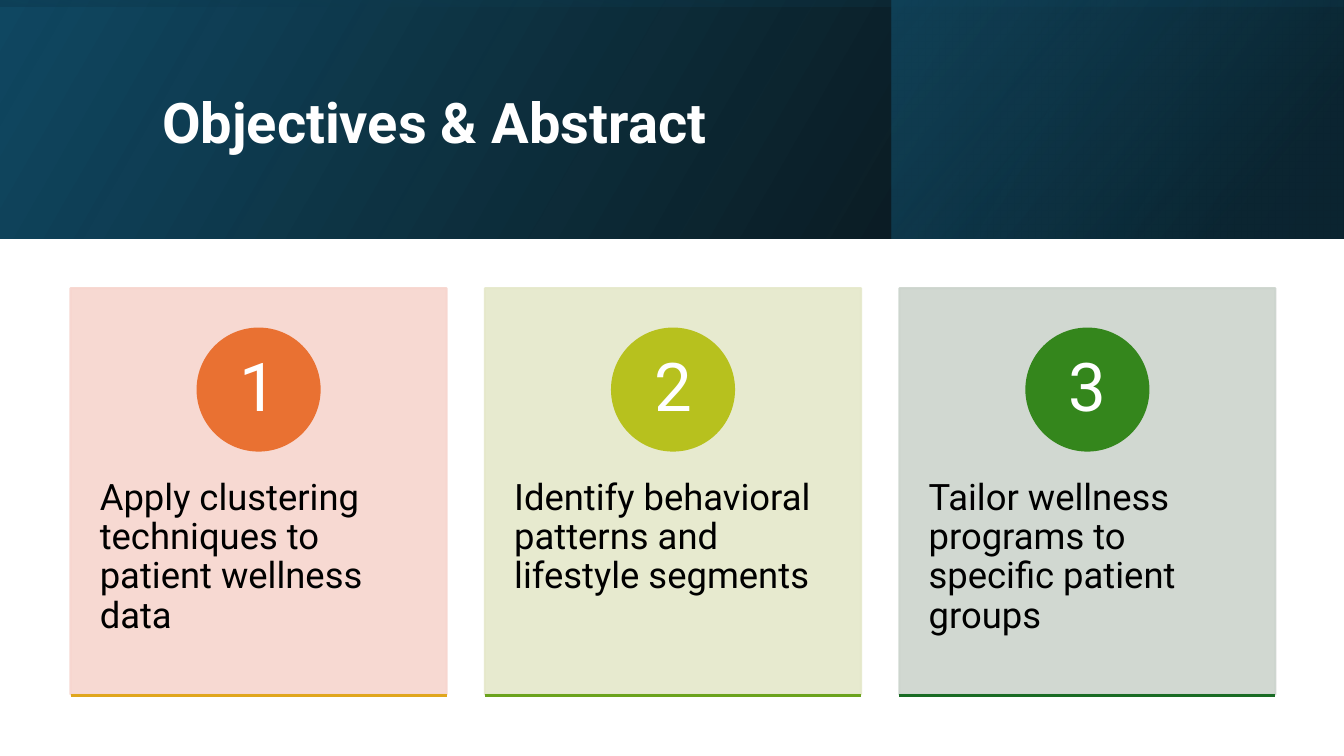
from lxml.etree import SubElement
from pptx import Presentation
from pptx.dml.color import RGBColor
from pptx.enum.shapes import MSO_CONNECTOR, MSO_SHAPE
from pptx.enum.text import MSO_ANCHOR, PP_ALIGN
from pptx.oxml.ns import qn
from pptx.util import Inches, Pt

THEME = {
    "font": "Roboto",
    "title_size": 40, "number_size": 48, "body_size": 26, "line_width": 1.5,
    "light": "FFFFFF", "dark": "000000", "navy": "104862",
    "teal": "0B3041", "sea": "156082",
    "cards": ["F7D5CE", "E5E8CA", "CCD4CD"],
    "circles": ["E97132", "B7C11E", "34861C"],
    "rules": ["E0A61D", "6BA31D", "196B24"],
}


def write_text(shape, text, size, color, bold=False, align=PP_ALIGN.LEFT,
               anchor=MSO_ANCHOR.TOP, inset_x=0.1, inset_y=0.05):
    frame = shape.text_frame
    frame.word_wrap = True
    frame.vertical_anchor = anchor
    frame.margin_left = frame.margin_right = Inches(inset_x)
    frame.margin_top = frame.margin_bottom = Inches(inset_y)
    paragraph = frame.paragraphs[0]
    paragraph.alignment = align
    paragraph.line_spacing = 0.9
    run = paragraph.add_run()
    run.text = text
    run.font.name = THEME["font"]
    run.font.size = Pt(size)
    run.font.bold = bold
    run.font.color.rgb = RGBColor.from_string(color)


def set_opacity(shape, percents):
    colors = shape._element.spPr.iter(qn("a:srgbClr"))
    for color, percent in zip(list(colors), percents):
        SubElement(color, qn("a:alpha")).set("val", str(percent * 1000))


presentation = Presentation()
presentation.slide_width = Inches(13.33)
presentation.slide_height = Inches(7.5)
slide = presentation.slides.add_slide(presentation.slide_layouts[6])
shapes = slide.shapes

# Header: three layered gradients; the last one is a tall box turned on its side
WIDTH, HEADER = 13.33, 2.37
turned_left = (WIDTH - HEADER) / 2
bands = [
    # left, top, width, height, rotation, angle, (position, color, opacity) stops
    (0, 0, WIDTH, HEADER, 0, 30,
     [(0, THEME["dark"], 96), (1, THEME["navy"], 100)]),
    (8.84, 0, 4.48, HEADER, 0, 40,
     [(0.19, THEME["teal"], 68), (1, THEME["sea"], 48)]),
    (turned_left, -turned_left, HEADER, WIDTH, 270, 10,
     [(0.23, THEME["navy"], 16), (0.99, THEME["dark"], 45)]),
]
for left, top, width, height, rotation, angle, stops in bands:
    band = shapes.add_shape(MSO_SHAPE.RECTANGLE, Inches(left), Inches(top),
                            Inches(width), Inches(height))
    band.shadow.inherit = False
    band.rotation = rotation
    band._element.spPr.xfrm.set("flipH", "1")
    band.line.fill.background()
    band.fill.gradient()
    band.fill.gradient_angle = angle
    for gradient_stop, (position, color, _) in zip(band.fill.gradient_stops, stops):
        gradient_stop.position = position
        gradient_stop.color.rgb = RGBColor.from_string(color)
    set_opacity(band, [opacity for _, _, opacity in stops])

# Title
title = shapes.add_textbox(Inches(1.51), Inches(0.38), Inches(10.63), Inches(1.72))
write_text(title, "Objectives & Abstract", THEME["title_size"], THEME["light"],
           bold=True, anchor=MSO_ANCHOR.MIDDLE)

# Objective cards: three equal columns
MARGIN, PITCH, CARD_WIDTH, CIRCLE = 0.7, 4.11, 3.73, 1.21
CARD_TOP, CARD_HEIGHT, RULE_TOP = 2.86, 4.03, 6.9
objectives = [
    "Apply clustering techniques to patient wellness data",
    "Identify behavioral patterns and lifestyle segments",
    "Tailor wellness programs to specific patient groups",
]
for column, objective in enumerate(objectives):
    left = MARGIN + column * PITCH
    circle_left = left + (CARD_WIDTH - CIRCLE) / 2
    card = shapes.add_shape(MSO_SHAPE.RECTANGLE, Inches(left), Inches(CARD_TOP),
                            Inches(CARD_WIDTH), Inches(CARD_HEIGHT))
    body = shapes.add_textbox(Inches(left), Inches(4.39),
                              Inches(CARD_WIDTH), Inches(2.42))
    circle = shapes.add_shape(MSO_SHAPE.OVAL, Inches(circle_left), Inches(3.26),
                              Inches(CIRCLE), Inches(CIRCLE))
    for shape, palette in ((card, "cards"), (circle, "circles")):
        color = RGBColor.from_string(THEME[palette][column])
        shape.shadow.inherit = False
        shape.fill.solid()
        shape.fill.fore_color.rgb = color
        shape.line.color.rgb = color
        shape.line.width = Pt(THEME["line_width"])
    set_opacity(card, [90, 90])
    write_text(body, objective, THEME["body_size"], THEME["dark"],
               inset_x=0.29, inset_y=0.36)
    write_text(circle, str(column + 1), THEME["number_size"], THEME["light"],
               align=PP_ALIGN.CENTER, anchor=MSO_ANCHOR.MIDDLE,
               inset_x=0.09, inset_y=0.01)

    # Rule under the card
    rule = shapes.add_connector(MSO_CONNECTOR.STRAIGHT, Inches(left), Inches(RULE_TOP),
                                Inches(left + CARD_WIDTH), Inches(RULE_TOP))
    rule.line.color.rgb = RGBColor.from_string(THEME["rules"][column])
    rule.line.width = Pt(THEME["line_width"])
    SubElement(rule._element.spPr, qn("a:effectLst"))

presentation.save("out.pptx")
